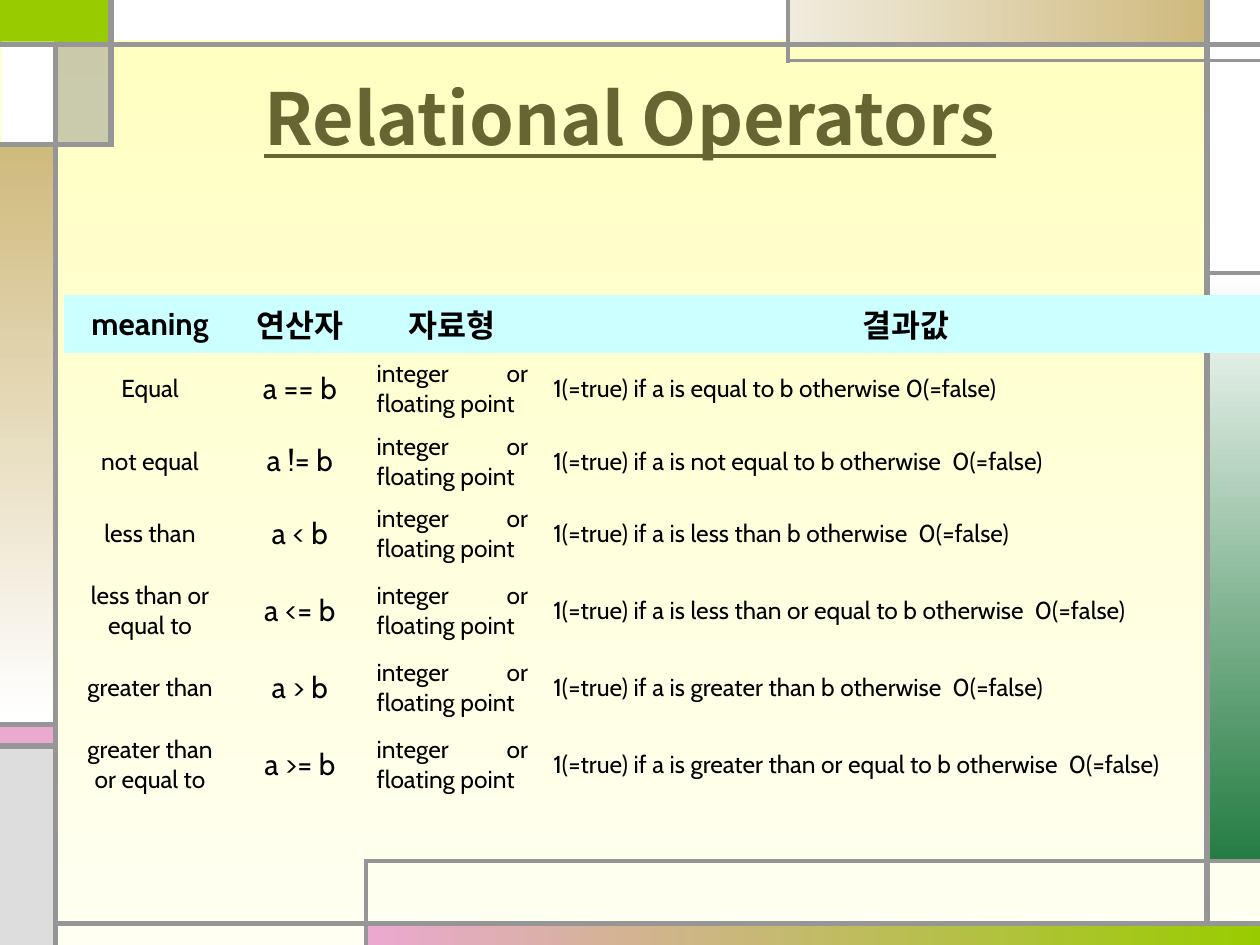
import pptx
import pptx.util
import pptx.dml.color
import pptx.enum.shapes
import pptx.enum.text
import pptx.oxml.ns
import lxml.etree

Cm, Pt = pptx.util.Cm, pptx.util.Pt
RGBColor = pptx.dml.color.RGBColor
ALIGN = pptx.enum.text.PP_ALIGN
MIDDLE = pptx.enum.text.MSO_ANCHOR.MIDDLE
qn = pptx.oxml.ns.qn

GREEN = RGBColor(0x99, 0xCC, 0x00)
FOREST = RGBColor(0x24, 0x7C, 0x41)
PINK = RGBColor(0xEB, 0xA9, 0xD0)
SAND = RGBColor(0xCF, 0xBA, 0x7D)
PALE_SAND = RGBColor(0xF0, 0xEB, 0xDE)
SILVER = RGBColor(0xDD, 0xDD, 0xDD)
GRAY = RGBColor(0x96, 0x96, 0x96)
WHITE = RGBColor(0xFF, 0xFF, 0xFF)
BLACK = RGBColor(0x00, 0x00, 0x00)
OLIVE = RGBColor(0x66, 0x66, 0x33)
CYAN = RGBColor(0xCC, 0xFF, 0xFF)
CREAM = RGBColor(0xFF, 0xFF, 0xBF)
IVORY = RGBColor(0xFF, 0xFF, 0xF2)
TITLE_FONT = "Noto Sans CJK KR"
BODY_FONT = "Cabin"
DOWN, RIGHT = 270, 0


def paint_gradient(fill, first, last, angle):
    fill.gradient()
    fill.gradient_angle = angle
    for stop, color in zip(fill.gradient_stops, (first, last)):
        stop.color.rgb = color


presentation = pptx.Presentation()
presentation.slide_width = Cm(25.4)
presentation.slide_height = Cm(19.05)
slide = presentation.slides.add_slide(presentation.slide_layouts[5])
paint_gradient(slide.background.fill, CREAM, IVORY, DOWN)

# Coloured panels: left, top, width, height, then a colour or a gradient
panels = [
    (0, 0, 2.2, 0.86, GREEN),
    (7.42, 18.62, 17.98, 0.43, (PINK, GREEN, RIGHT)),
    (24.33, 5.51, 1.07, 11.86, (WHITE, FOREST, DOWN)),
    (0, 14.6, 1.07, 0.43, PINK),
    (0, 15.06, 1.07, 3.99, SILVER),
    (24.33, 0, 1.07, 5.51, WHITE),
    (15.88, 0, 8.46, 0.84, (PALE_SAND, SAND, RIGHT)),
    (1.17, 0.84, 1.07, 2.08, GRAY),
    (0, 2.92, 1.07, 11.63, (SAND, WHITE, DOWN)),
    (0.03, 0.84, 1.07, 2.08, WHITE),
    (2.18, 0, 13.69, 0.81, WHITE),
]
for left, top, width, height, paint in panels:
    panel = slide.shapes.add_shape(
        pptx.enum.shapes.MSO_SHAPE.RECTANGLE, Cm(left), Cm(top), Cm(width), Cm(height))
    panel.shadow.inherit = False
    panel.line.fill.background()
    if isinstance(paint, RGBColor):
        panel.fill.solid()
        panel.fill.fore_color.rgb = paint
    else:
        paint_gradient(panel.fill, *paint)
    if paint == GRAY:  # the only see-through panel
        color = panel._element.spPr.find(qn("a:solidFill"))[0]
        lxml.etree.SubElement(color, qn("a:alpha"), val="50000")

# Gray grid lines: start x, start y, end x, end y, weight
grid_lines = [
    (1.12, 19.05, 1.12, 0.84, 3),
    (1.12, 18.62, 25.43, 18.62, 3),
    (24.33, 18.62, 24.33, 0, 3),
    (0, 0.89, 25.4, 0.89, 3),
    (25.4, 1.22, 15.88, 1.22, 2.25),
    (15.88, 1.27, 15.88, 0, 2.25),
    (24.33, 5.51, 25.4, 5.51, 2.25),
    (2.24, 0, 2.24, 2.97, 3),
    (2.18, 2.92, 0, 2.92, 3),
    (7.37, 19.05, 7.37, 17.32, 2.25),
    (7.34, 17.35, 25.4, 17.35, 2.25),
    (1.17, 14.6, 0, 14.6, 3),
    (1.17, 15.04, 0, 15.04, 3),
]
for start_x, start_y, end_x, end_y, weight in grid_lines:
    grid_line = slide.shapes.add_connector(
        pptx.enum.shapes.MSO_CONNECTOR.STRAIGHT,
        Cm(start_x), Cm(start_y), Cm(end_x), Cm(end_y))
    grid_line.line.color.rgb = GRAY
    grid_line.line.width = Pt(weight)
    lxml.etree.SubElement(grid_line._element.spPr, qn("a:effectLst"))

# Title, brought in front of the panels
title = slide.shapes.title
slide.shapes._spTree.append(title._element)
title.left, title.top, title.width, title.height = Cm(1.27), Cm(0.76), Cm(22.86), Cm(3.18)
title.text_frame.text = "Relational Operators"
title.text_frame.vertical_anchor = MIDDLE
heading = title.text_frame.paragraphs[0]
heading.alignment = ALIGN.CENTER
heading.font.name = TITLE_FONT
heading.font.size = Pt(41)
heading.font.bold = True
heading.font.underline = True
heading.font.color.rgb = OLIVE

# Table of operators
operand_type = "integer or floating point"
rows = [
    ("meaning", "연산자", "자료형", "결과값"),
    ("Equal", "a == b", operand_type,
     "1(=true) if a is equal to b otherwise 0(=false)"),
    ("not equal", "a != b", operand_type,
     "1(=true) if a is not equal to b otherwise  0(=false)"),
    ("less than", "a < b", operand_type,
     "1(=true) if a is less than b otherwise  0(=false)"),
    ("less than or equal to", "a <= b", operand_type,
     "1(=true) if a is less than or equal to b otherwise  0(=false)"),
    ("greater than", "a > b", operand_type,
     "1(=true) if a is greater than b otherwise  0(=false)"),
    ("greater than or equal to", "a >= b", operand_type,
     "1(=true) if a is greater than or equal to b otherwise  0(=false)"),
]
column_widths = [3.45, 2.59, 3.56, 14.71]
row_heights = [1.04, 1.45, 1.45, 1.45, 1.65, 1.45, 1.65]
column_sizes = [14, 17, 14, 14]
column_alignments = [ALIGN.CENTER, ALIGN.CENTER, ALIGN.JUSTIFY, ALIGN.JUSTIFY]

operators = slide.shapes.add_table(
    len(rows), len(column_widths), Cm(1.3), Cm(5.94),
    Cm(sum(column_widths)), Cm(sum(row_heights))).table
operators.first_row = False
operators.horz_banding = False
# "No Style, No Grid" leaves the cells without borders
operators._tbl.tblPr.find(qn("a:tableStyleId")).text = "{2D5ABB26-0587-4C30-8999-92F81FD0307C}"
for column, width in zip(operators.columns, column_widths):
    column.width = Cm(width)
for row, height in zip(operators.rows, row_heights):
    row.height = Cm(height)

for r, texts in enumerate(rows):
    is_header = r == 0
    for c, text in enumerate(texts):
        cell = operators.cell(r, c)
        cell.text = text
        cell.vertical_anchor = MIDDLE
        if is_header:
            cell.fill.solid()
            cell.fill.fore_color.rgb = CYAN
        else:
            cell.fill.background()
        paragraph = cell.text_frame.paragraphs[0]
        paragraph.alignment = ALIGN.CENTER if is_header else column_alignments[c]
        paragraph.font.name = BODY_FONT
        paragraph.font.size = Pt(18 if is_header else column_sizes[c])
        paragraph.font.bold = is_header
        paragraph.font.color.rgb = BLACK

presentation.save("out.pptx")
